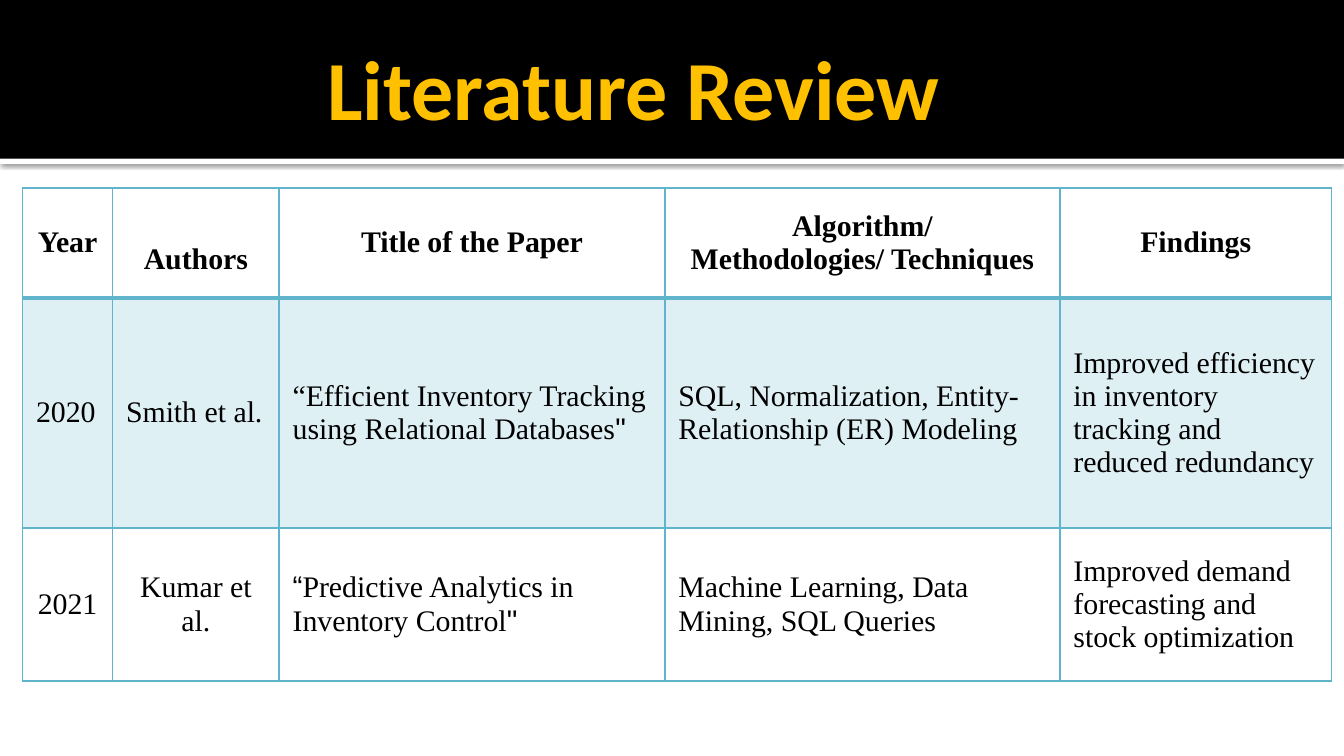
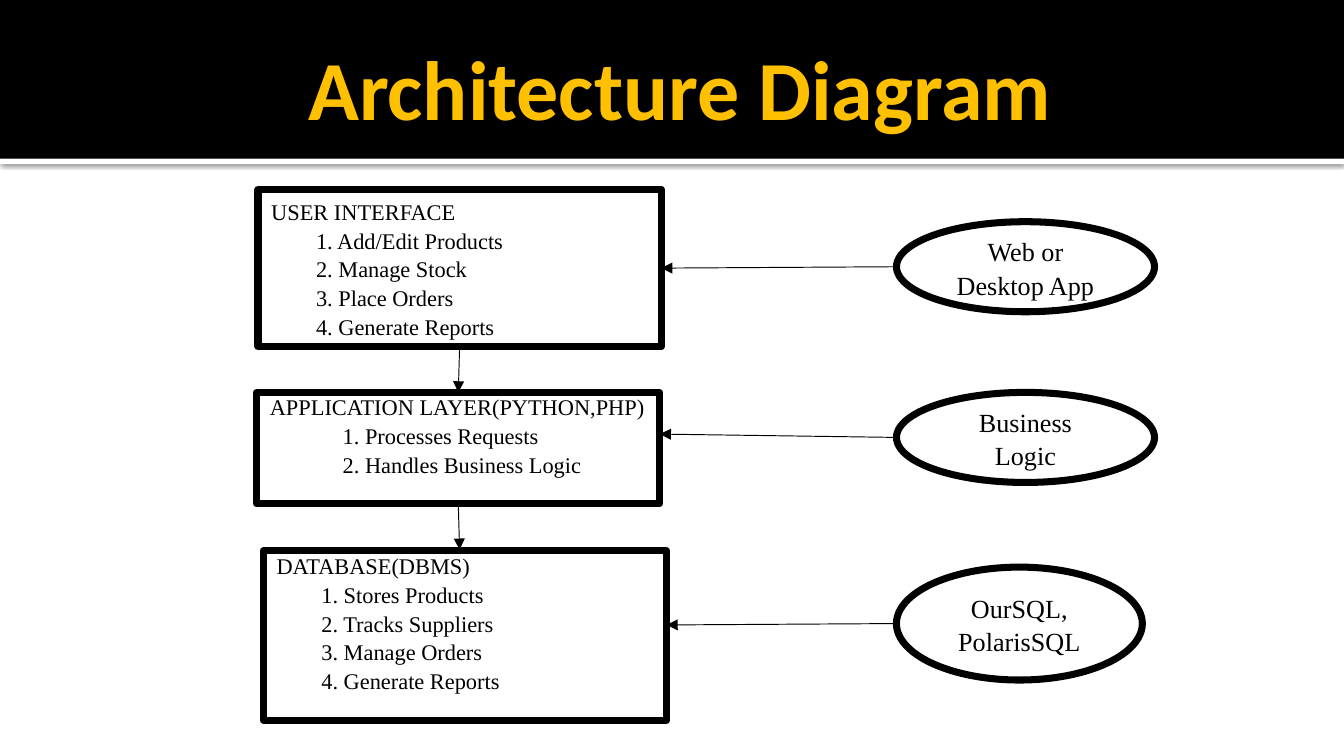
from dataclasses import dataclass

from lxml import etree
from pptx import Presentation
from pptx import util as u
from pptx.dml import color
from pptx.enum import shapes, text
from pptx.oxml import ns

Pt = u.Pt
RECT = shapes.MSO_SHAPE.RECTANGLE
OVAL = shapes.MSO_SHAPE.OVAL
LEFT, MID = text.PP_ALIGN.LEFT, text.PP_ALIGN.CENTER


@dataclass(frozen=True)
class Theme:
    # Colours
    ink: str = "000000"
    paper: str = "FFFFFF"
    gold: str = "FFC000"
    aqua: str = "60B5CC"
    # Fonts and sizes
    head: str = "Calibri"
    body: str = "Times New Roman"
    mark: str = "Arial"
    title: int = 45
    cell: int = 16
    oval: int = 14
    box: int = 12
    # Lines
    edge: float = 3.78
    wire: float = 0.5
    grid: int = 1
    rule: int = 2
    lead: float = 1.07


def rgb(code):
    return color.RGBColor.from_string(code)


def apply(item, props):
    for name, value in props.items():
        setattr(item, name, value)


def node(parent, tag, **attrs):
    child = etree.SubElement(parent, ns.qn(tag))
    for name, value in attrs.items():
        child.set(name, str(value))
    return child


class Deck:
    def __init__(self, theme):
        self.theme = theme
        self.prs = Presentation()
        apply(self.prs, {"slide_width": Pt(720), "slide_height": Pt(405)})
        self.slide = None

    def page(self, title, inset):
        """Start a slide with its band and title; inset is the title's left margin."""
        t = self.theme
        self.slide = self.prs.slides.add_slide(self.prs.slide_layouts[5])
        strip = self.shape(RECT, (0, 84.96, 720, 2.88), t.paper)
        self.shade(strip)
        self.shape(RECT, (0, 0, 720, 84.96), t.ink)

        head = self.slide.shapes.title
        head.element.getparent().append(head.element)
        self.place(head, (36, 9.36, 648, 74.16))
        self.frame(head.text_frame, left=inset, right=3.6)
        self.words(head.text_frame.paragraphs[0], title, t.title, t.gold,
                   LEFT, bold=True, font=t.head)

    def place(self, item, at):
        apply(item, dict(zip(("left", "top", "width", "height"), map(Pt, at))))

    def frame(self, frame, left=7.2, top=3.6, right=7.2, bottom=3.6):
        apply(frame, {
            "word_wrap": True,
            "auto_size": text.MSO_AUTO_SIZE.NONE,
            "vertical_anchor": text.MSO_ANCHOR.MIDDLE,
            "margin_left": Pt(left), "margin_top": Pt(top),
            "margin_right": Pt(right), "margin_bottom": Pt(bottom),
        })

    def words(self, par, copy, size, ink, align, bold=False, font=None):
        """Fill a paragraph from a string or from (text, font) runs."""
        par.alignment = align
        runs = [(copy, font or self.theme.body)] if isinstance(copy, str) else copy
        for part, face in runs:
            run = par.add_run()
            run.text = part
            apply(run.font, {"name": face, "size": Pt(size), "bold": bold})
            run.font.color.rgb = rgb(ink)

    def shape(self, kind, at, fill, line=None):
        item = self.slide.shapes.add_shape(kind, *map(Pt, at))
        item.shadow.inherit = False
        item.fill.solid()
        item.fill.fore_color.rgb = rgb(fill)
        if line:
            item.line.color.rgb = rgb(line)
            item.line.width = Pt(self.theme.edge)
        else:
            item.line.fill.background()
        return item

    def shade(self, item):
        effects = item.element.spPr.find(ns.qn("a:effectLst"))
        cast = node(effects, "a:outerShdw", blurRad=Pt(2.5), dist=Pt(0.8),
                    dir=5400000, algn="t", rotWithShape=0)
        tint = node(cast, "a:srgbClr", val=self.theme.ink)
        node(tint, "a:alpha", val=60000)

    def box(self, at, name, items, indent, top=3.6, bottom=3.6):
        """A layer: its name above numbered, indented duties."""
        t = self.theme
        item = self.shape(RECT, at, t.paper, t.ink)
        frame = item.text_frame
        self.frame(frame, top=top, bottom=bottom)
        lines = [name] + [f"{n}. {duty}" for n, duty in enumerate(items, 1)]
        for n, line in enumerate(lines):
            par = frame.add_paragraph() if n else frame.paragraphs[0]
            self.words(par, line, t.box, t.ink, LEFT)
            par.line_spacing = t.lead
            if n:
                par._p.get_or_add_pPr().set("marL", str(Pt(indent)))
        return item

    def oval(self, at, label):
        t = self.theme
        item = self.shape(OVAL, at, t.paper, t.ink)
        self.frame(item.text_frame)
        par = item.text_frame.paragraphs[0]
        self.words(par, label, t.oval, t.ink, MID)
        par.line_spacing = t.lead

    def arrow(self, start, end, tail=None, head=None):
        """tail and head are (shape, site) pairs to join."""
        item = self.slide.shapes.add_connector(
            shapes.MSO_CONNECTOR.STRAIGHT, *map(Pt, start + end))
        if tail:
            item.begin_connect(*tail)
        if head:
            item.end_connect(*head)
        item.line.color.rgb = rgb(self.theme.ink)
        item.line.width = Pt(self.theme.wire)
        props = item.element.spPr
        node(props.find(ns.qn("a:ln")), "a:tailEnd", type="triangle")
        node(props, "a:effectLst")

    def border(self, cell, row):
        t = self.theme
        props = cell._tc.get_or_add_tcPr()
        for side in "LRTB":
            thick = (row, side) in ((0, "B"), (1, "T"))
            line = node(props, f"a:ln{side}", w=Pt(t.rule if thick else t.grid))
            node(node(line, "a:solidFill"), "a:srgbClr", val=t.aqua)

    def tint(self, cell, row):
        if row != 1:
            cell.fill.background()
            return
        cell.fill.solid()
        cell.fill.fore_color.rgb = rgb(self.theme.aqua)
        fill = cell._tc.tcPr.find(ns.qn("a:solidFill"))
        node(fill[0], "a:alpha", val=20000)

    def table(self, at, cols, rows, data):
        t = self.theme
        grid = self.slide.shapes.add_table(
            len(rows), len(cols), *map(Pt, at), Pt(sum(cols)), Pt(sum(rows))).table
        apply(grid, {"first_row": False, "horz_banding": False})
        for col, width in zip(grid.columns, cols):
            col.width = Pt(width)
        for row, height in zip(grid.rows, rows):
            row.height = Pt(height)
        for r, line in enumerate(data):
            for c, entry in enumerate(line):
                cell = grid.cell(r, c)
                apply(cell, {
                    "vertical_anchor": text.MSO_ANCHOR.MIDDLE,
                    "margin_left": Pt(7.2), "margin_right": Pt(7.2),
                    "margin_top": Pt(3.6), "margin_bottom": Pt(3.6),
                })
                align = MID if r == 0 or (r == 2 and c < 2) else LEFT
                parts = entry.split("\n") if isinstance(entry, str) else [entry]
                for n, part in enumerate(parts):
                    frame = cell.text_frame
                    par = frame.add_paragraph() if n else frame.paragraphs[0]
                    self.words(par, part, t.cell, t.ink, align, bold=r == 0)
                self.border(cell, r)
                self.tint(cell, r)
        return grid


def review(deck):
    t = deck.theme
    deck.page("Literature Review", 139.2)
    data = [
        ["Year", "Authors", "Title of the Paper",
         "Algorithm/\nMethodologies/ Techniques", "Findings"],
        ["2020", "Smith et al.",
         [("“Efficient Inventory Tracking using Relational Databases", t.body),
          ('"', t.mark)],
         "SQL, Normalization, Entity-Relationship (ER) Modeling",
         "Improved efficiency in inventory tracking and reduced redundancy"],
        ["2021", "Kumar et al.",
         [("“", t.mark), ("Predictive Analytics in Inventory Control", t.body),
          ('"', t.mark)],
         "Machine Learning, Data Mining, SQL Queries",
         "Improved demand forecasting and stock optimization"],
    ]
    grid = deck.table((12.1, 100.6), (48.24, 89.28, 206.64, 211.68, 145.44),
                      (59.04, 123.12, 82.08), data)
    # The Authors heading sits half a line lower
    grid.cell(0, 1).margin_top = Pt(21.6)


def layers(deck):
    deck.page("Architecture Diagram", 129.2)

    # Layers
    face = deck.box((138.24, 101.52, 216, 84.24), "USER INTERFACE",
                    ["Add/Edit Products", "Manage Stock", "Place Orders",
                     "Generate Reports"], 24)
    logic = deck.box((137.52, 210.24, 216, 59.76), "APPLICATION LAYER(PYTHON,PHP)",
                     ["Processes Requests", "Handles Business Logic"], 39, 0, 14.4)
    deck.box((141.12, 295.2, 216, 90.72), "DATABASE(DBMS)",
             ["Stores Products", "Tracks Suppliers", "Manage Orders",
              "Generate Reports"], 24, 0, 14.4)

    # Tools
    deck.oval((480.24, 118.8, 138.24, 48.24), "Web or Desktop App")
    deck.oval((480.24, 210.24, 138.24, 48.24), "Business Logic")
    deck.oval((480.24, 303.84, 131.76, 60.48), "OurSQL, PolarisSQL")

    # Flow down the layers
    deck.arrow((246.24, 185.76), (245.52, 210.24), (face, 2), (logic, 0))
    deck.arrow((245.52, 270), (246.24, 294.48), (logic, 2))

    # Tools to layers
    deck.arrow((480.24, 142.92), (354.24, 143.64), head=(face, 3))
    deck.arrow((480.24, 234.36), (353.52, 232.56))
    deck.arrow((480.24, 334.08), (357.12, 334.8))


def main():
    deck = Deck(Theme())
    review(deck)
    layers(deck)
    deck.prs.save("out.pptx")


if __name__ == "__main__":
    main()
